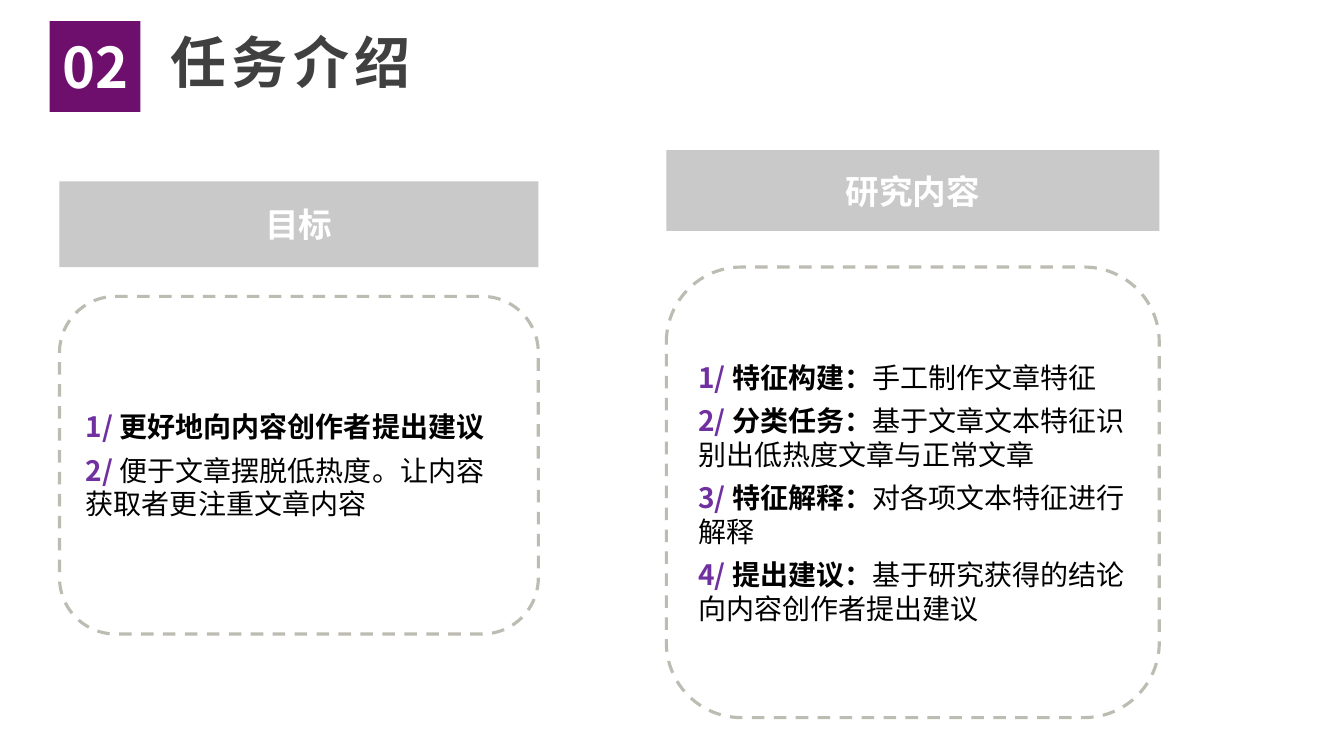
from lxml import etree
from pptx import Presentation, util as u
from pptx.dml.color import RGBColor
from pptx.enum import dml, shapes, text
from pptx.oxml.ns import qn

FONT = "Noto Sans CJK SC"
PURPLE, GREY, DASH = "6E0F6D", "C9C9C9", "BCBCB2"
NUMBER, BLACK, WHITE, DARK = "7030A0", "000000", "FFFFFF", "404040"

deck = Presentation()
deck.slide_width, deck.slide_height = u.Inches(13.333), u.Inches(7.5)
slide = deck.slides.add_slide(deck.slide_layouts[5])


def share(left, top, width, height):
    """Percentages of the slide's width and height as lengths."""
    across, down = deck.slide_width / 100, deck.slide_height / 100
    return [int(left * across), int(top * down), int(width * across), int(height * down)]


def style(run, size, colour, bold=True):
    run.font.size, run.font.bold, run.font.name = u.Pt(size), bold, FONT
    run.font.color.rgb = RGBColor.from_string(colour)
    etree.SubElement(run._r.get_or_add_rPr(), qn("a:ea"), typeface=FONT)


# Title
title = slide.shapes.title
title.left, title.top, title.width, title.height = share(11.93, 2.93, 46.6, 10.27)
title.text_frame.text = "任务介绍"
title.text_frame.auto_size = text.MSO_AUTO_SIZE.NONE
title.text_frame.vertical_anchor = text.MSO_ANCHOR.MIDDLE
heading = title.text_frame.paragraphs[0]
heading.alignment = text.PP_ALIGN.LEFT
style(heading.runs[0], 40, DARK)
heading.runs[0]._r.get_or_add_rPr().set("spc", "400")

# Section number and column headers
banners = [
    ("02", share(3.7, 2.8, 6.75, 12), PURPLE, 40),
    ("目标", share(4.43, 24, 35.63, 11.33), GREY, 24),
    ("研究内容", share(49.58, 19.87, 36.68, 10.67), GREY, 24),
]
for label, area, fill, size in banners:
    banner = slide.shapes.add_shape(shapes.MSO_SHAPE.RECTANGLE, *area)
    banner.shadow.inherit = False
    banner.fill.solid()
    banner.fill.fore_color.rgb = RGBColor.from_string(fill)
    banner.line.fill.background()
    frame = banner.text_frame
    frame.margin_left = frame.margin_right = 0
    frame.vertical_anchor = text.MSO_ANCHOR.MIDDLE
    frame.text = label
    frame.paragraphs[0].alignment = text.PP_ALIGN.CENTER
    style(frame.paragraphs[0].runs[0], size, WHITE)

# Dashed panels: each point is a bold lead and a regular explanation
panels = [
    (share(4.43, 39.2, 35.63, 44.67), [
        ("更好地向内容创作者提出建议", ""),
        ("", "便于文章摆脱低热度。让内容获取者更注重文章内容"),
    ]),
    (share(49.58, 35.33, 36.68, 59.6), [
        ("特征构建：", "手工制作文章特征"),
        ("分类任务：", "基于文章文本特征识别出低热度文章与正常文章"),
        ("特征解释：", "对各项文本特征进行解释"),
        ("提出建议：", "基于研究获得的结论向内容创作者提出建议"),
    ]),
]
for area, points in panels:
    panel = slide.shapes.add_shape(shapes.MSO_SHAPE.ROUNDED_RECTANGLE, *area)
    panel.shadow.inherit = False
    panel.fill.background()
    panel.line.color.rgb = RGBColor.from_string(DASH)
    panel.line.width = u.Pt(2.25)
    panel.line.dash_style = dml.MSO_LINE.DASH
    frame = panel.text_frame
    frame.word_wrap = True
    frame.vertical_anchor = text.MSO_ANCHOR.MIDDLE
    for number, (lead, detail) in enumerate(points, 1):
        point = frame.paragraphs[0] if number == 1 else frame.add_paragraph()
        point.alignment = text.PP_ALIGN.LEFT
        point.line_spacing, point.space_after = u.Pt(24), u.Pt(7)
        pieces = [(f"{number}/ ", NUMBER, True), (lead, BLACK, True), (detail, BLACK, False)]
        for words, colour, bold in pieces:
            if words:
                run = point.add_run()
                run.text = words
                style(run, 20, colour, bold)

deck.save("out.pptx")
